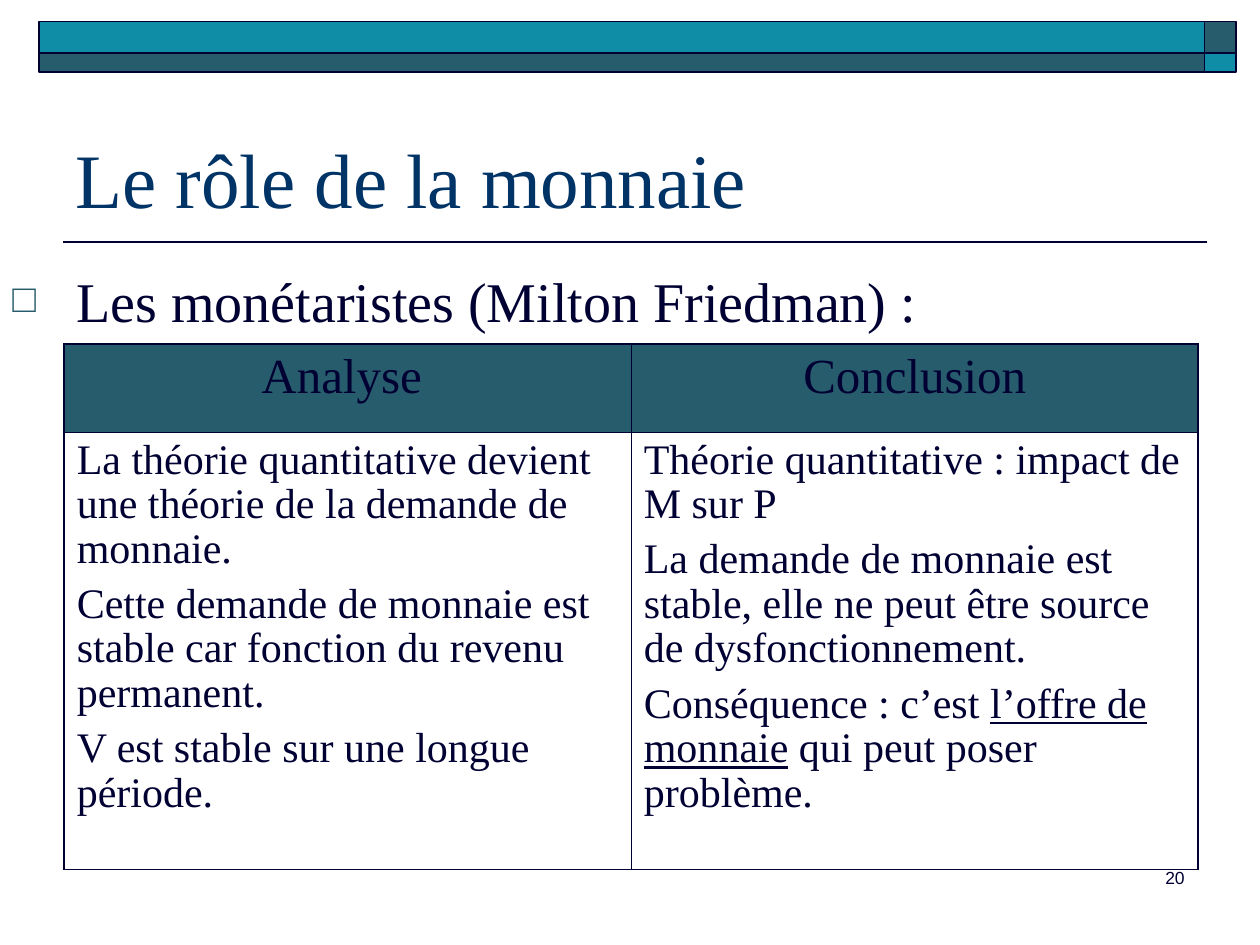
"""Build the slide on the monetarists' analysis and conclusion about money."""
import dataclasses
import itertools
import typing

import pptx
import pptx.enum.shapes
import pptx.enum.text
import pptx.oxml
import pptx.oxml.ns
import pptx.util
from pptx.dml.color import RGBColor

COLORS = {"ink": "000033", "title": "003366", "dark": "275C6D", "bright": "108DA6"}
SERIF = "Times New Roman"
WIDTH = pptx.util.Inches(10)
HEIGHT = pptx.util.Inches(7.5)
ALIGN = pptx.enum.text.PP_ALIGN
ANCHOR = pptx.enum.text.MSO_ANCHOR
OUTER, INNER = 1.08, 0.45


@dataclasses.dataclass(frozen=True)
class Area:
    """A rectangle in percent of the slide's width and height."""
    left: float
    top: float
    width: float
    height: float

    def lengths(self) -> tuple[int, int, int, int]:
        return (across(self.left), down(self.top), across(self.width), down(self.height))


@dataclasses.dataclass(frozen=True)
class Style:
    """The look of a paragraph."""
    size: float
    color: str = "ink"
    font: str = SERIF
    align: typing.Any = ALIGN.LEFT
    gap: float = 0
    spacing: float = 1.0


@dataclasses.dataclass(frozen=True)
class Label:
    """A line of text in its own box."""
    text: str
    area: Area
    style: Style
    anchor: typing.Any = ANCHOR.TOP
    bullet: str = ""


@dataclasses.dataclass(frozen=True)
class Column:
    """A table column; underlined text stands between underscores."""
    heading: str
    points: tuple[str, ...]


HEADING = Style(28, align=ALIGN.CENTER)
POINT = Style(24, gap=6, spacing=0.96)
LABELS = (
    Label("20", Area(74.2, 91.07, 20.8, 6.67), Style(10, font="Arial", align=ALIGN.RIGHT)),
    Label("Le rôle de la monnaie", Area(5, 7.73, 90, 16.67), Style(44, "title"), ANCHOR.BOTTOM),
    Label("Les monétaristes (Milton Friedman) :", Area(0, 27.5, 90, 61.8), Style(32), bullet="□"),
)
COLUMNS = (
    Column("Analyse ", (
        "La théorie quantitative devient une théorie de la demande de monnaie.",
        "Cette demande de monnaie est stable car fonction du revenu permanent.",
        "V est stable sur une longue période.",
    )),
    Column("Conclusion", (
        "Théorie quantitative : impact de M sur P",
        "La demande de monnaie est stable, elle ne peut être source de dysfonctionnement.",
        "Conséquence : c’est _l’offre de monnaie_ qui peut poser problème.",
    )),
)
TABLE = Area(5.1, 36.4, 90, 55.6)
ROW_HEIGHTS = (9.33, 46.27)
BAND_COLUMNS = ((3.1, 92.5), (95.6, 2.5))
BAND_ROWS = ((2.27, 3.33), (5.6, 2))


def across(percent: float) -> int:
    return round(WIDTH * percent / 100)


def down(percent: float) -> int:
    return round(HEIGHT * percent / 100)


def rgb(name: str) -> RGBColor:
    return RGBColor.from_string(COLORS[name])


def apply(target: typing.Any, values: dict[str, typing.Any]) -> None:
    for name, value in values.items():
        setattr(target, name, value)


def draw_band(page: typing.Any, area: Area, color: str) -> None:
    band = page.shapes.add_shape(pptx.enum.shapes.MSO_SHAPE.RECTANGLE, *area.lengths())
    band.shadow.inherit = False
    band.fill.solid()
    band.fill.fore_color.rgb = rgb(color)
    band.line.color.rgb = rgb("ink")
    band.line.width = pptx.util.Pt(1)


def draw_rule(page: typing.Any, left: float, right: float, top: float) -> None:
    rule = page.shapes.add_connector(
        pptx.enum.shapes.MSO_CONNECTOR.STRAIGHT, across(right), down(top), across(left), down(top))
    rule.line.color.rgb = rgb("ink")
    rule.line.width = pptx.util.Pt(1)
    pptx.oxml.ns.qn("a:effectLst")
    rule._element.spPr.append(make_element("<a:effectLst {ns}/>"))


def make_element(markup: str) -> typing.Any:
    return pptx.oxml.parse_xml(markup.format(ns=pptx.oxml.ns.nsdecls("a")))


def write(para: typing.Any, text: str, style: Style, first: bool = True) -> None:
    apply(para, {
        "alignment": style.align,
        "line_spacing": style.spacing,
        "space_before": pptx.util.Pt(0 if first else style.gap),
    })
    for index, part in enumerate(text.split("_")):
        span = para.add_run()
        span.text = part
        apply(span.font, {
            "name": style.font, "size": pptx.util.Pt(style.size), "underline": index % 2 == 1})
        span.font.color.rgb = rgb(style.color)


def add_bullet(para: typing.Any, sign: str) -> None:
    properties = para._p.get_or_add_pPr()
    indent = pptx.util.Inches(0.51)
    properties.set("marL", str(indent))
    properties.set("indent", str(-indent))
    for markup in (
        f'<a:buClr {{ns}}><a:srgbClr val="{COLORS["dark"]}"/></a:buClr>',
        '<a:buSzPct {ns} val="70000"/>',
        f'<a:buFont {{ns}} typeface="{SERIF}"/>',
        f'<a:buChar {{ns}} char="{sign}"/>',
    ):
        properties.append(make_element(markup))


def draw_label(page: typing.Any, label: Label) -> None:
    box = page.shapes.add_textbox(*label.area.lengths())
    apply(box.text_frame, {"word_wrap": True, "vertical_anchor": label.anchor})
    para = box.text_frame.paragraphs[0]
    if label.bullet:
        add_bullet(para, label.bullet)
    write(para, label.text, label.style)


def draw_borders(cell: typing.Any, row: int, column: int) -> None:
    outer_sides = {"L" if column == 0 else "R", "T" if row == 0 else "B"}
    for side in "LRTB":
        width = pptx.util.Pt(OUTER if side in outer_sides else INNER)
        cell._tc.get_or_add_tcPr().append(make_element(
            f'<a:ln{side} {{ns}} w="{width}"><a:solidFill><a:srgbClr val="{COLORS["ink"]}"/>'
            f"</a:solidFill></a:ln{side}>"))


def draw_table(page: typing.Any) -> None:
    table = page.shapes.add_table(len(ROW_HEIGHTS), len(COLUMNS), *TABLE.lengths()).table
    apply(table, {"first_row": False, "horz_banding": False})
    for row, height in zip(table.rows, ROW_HEIGHTS):
        row.height = down(height)
    for index, column in enumerate(COLUMNS):
        head, body = table.cell(0, index), table.cell(1, index)
        for row, cell in enumerate((head, body)):
            draw_borders(cell, row, index)
        head.fill.solid()
        head.fill.fore_color.rgb = rgb("dark")
        body.fill.background()
        write(head.text_frame.paragraphs[0], column.heading, HEADING)
        for order, point in enumerate(column.points):
            frame = body.text_frame
            para = frame.add_paragraph() if order else frame.paragraphs[0]
            write(para, point, POINT, first=order == 0)


def main() -> None:
    deck = pptx.Presentation()
    apply(deck, {"slide_width": WIDTH, "slide_height": HEIGHT})
    page = deck.slides.add_slide(deck.slide_layouts[6])
    draw_rule(page, 5, 95.8, 25.6)
    grid = itertools.product(enumerate(BAND_ROWS), enumerate(BAND_COLUMNS))
    for (row, (top, height)), (column, (left, width)) in grid:
        draw_band(page, Area(left, top, width, height), "bright" if row == column else "dark")
    for label in LABELS:
        draw_label(page, label)
    draw_table(page)
    deck.save("out.pptx")


if __name__ == "__main__":
    main()
